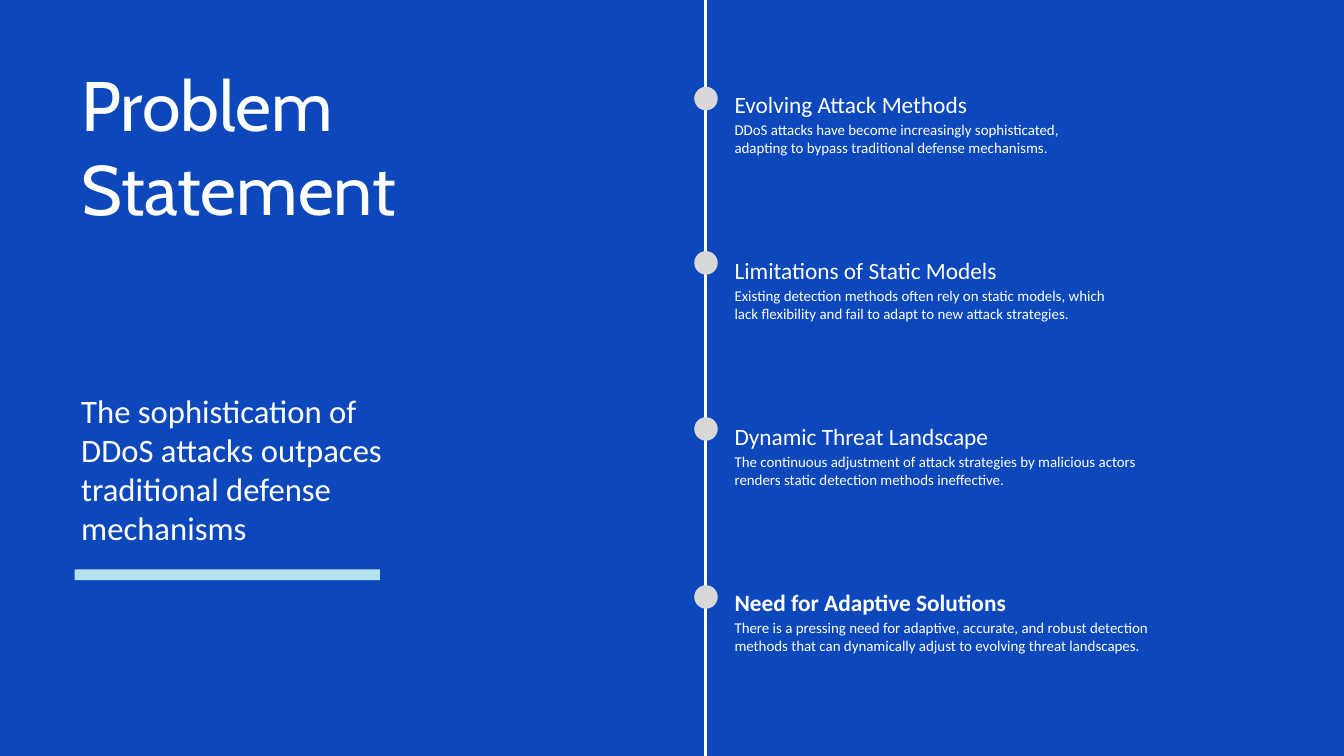
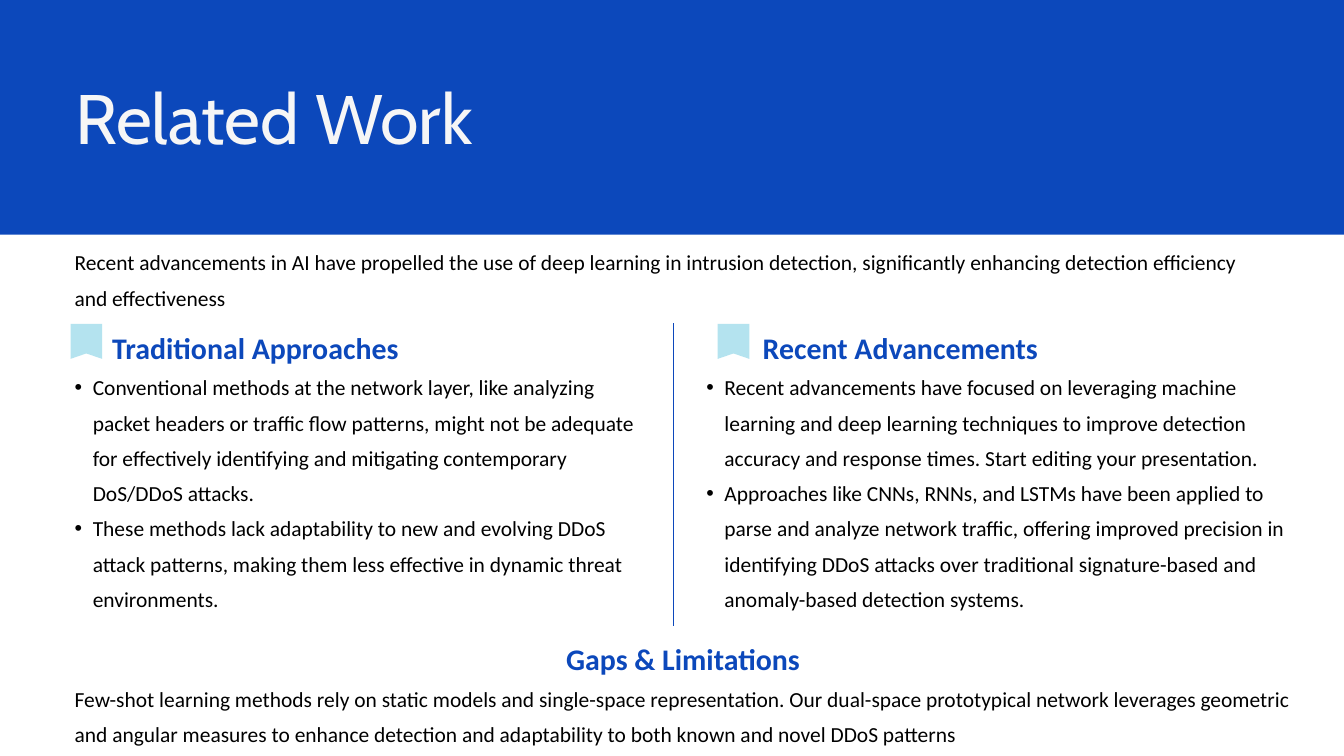
from dataclasses import dataclass

from lxml import etree
from pptx import Presentation
from pptx.dml.color import RGBColor
from pptx.enum.shapes import MSO_CONNECTOR, MSO_SHAPE
from pptx.enum.text import MSO_AUTO_SIZE, PP_ALIGN
from pptx.oxml.ns import qn
from pptx.util import Pt

RECTANGLE, OVAL = MSO_SHAPE.RECTANGLE, MSO_SHAPE.OVAL
STRAIGHT = MSO_CONNECTOR.STRAIGHT
FIT_SHAPE = MSO_AUTO_SIZE.SHAPE_TO_FIT_TEXT
LEFT, CENTER = PP_ALIGN.LEFT, PP_ALIGN.CENTER

# Shared look
WIDTH, HEIGHT = 1440, 810
COLORS = {
    "blue": "0C48BB",
    "aqua": "B4E3EF",
    "white": "FFFFFF",
    "title": "F6F6F6",
    "dot": "D8D8D8",
    "black": "000000",
}


@dataclass(frozen=True)
class Style:
    size: float
    color: str
    font: str = "Calibri"
    bold: bool = False
    spacing: float = 1.0
    align: PP_ALIGN = LEFT
    margin: float = 0
    bullet: bool = False


@dataclass(frozen=True)
class Milestone:
    heading: str
    body: str
    dot_top: float
    body_width: float
    bold: bool = False


@dataclass(frozen=True)
class Column:
    heading: str
    points: tuple[str, ...]
    mark_left: float
    heading_left: float
    body_left: float


BODY_SPACING = 1.37
HANGING = 19.44
STATEMENT = Style(35, "white")
DETAIL = Style(16, "white")
SECTION = Style(32, "blue", bold=True, spacing=1.3)
GAPS_HEADING = Style(32, "blue", bold=True, spacing=BODY_SPACING,
                     align=CENTER, margin=HANGING)
BODY = Style(23, "black", spacing=BODY_SPACING, margin=HANGING)
BULLETS = Style(23, "black", spacing=BODY_SPACING, margin=2 * HANGING, bullet=True)

MILESTONES = (
    Milestone("Evolving Attack Methods",
              "DDoS attacks have become increasingly sophisticated, adapting to "
              "bypass traditional defense mechanisms.", 93, 386),
    Milestone("Limitations of Static Models",
              "Existing detection methods often rely on static models, which lack "
              "flexibility and fail to adapt to new attack strategies.", 269, 406),
    Milestone("Dynamic Threat Landscape",
              "The continuous adjustment of attack strategies by malicious actors "
              "renders static detection methods ineffective.", 447, 431),
    Milestone("Need for Adaptive Solutions",
              "There is a pressing need for adaptive, accurate, and robust detection "
              "methods that can dynamically adjust to evolving threat landscapes.",
              627, 454, bold=True),
)

COLUMNS = (
    Column("Traditional Approaches", (
        "Conventional methods at the network layer, like analyzing packet headers or "
        "traffic flow patterns, might not be adequate for effectively identifying and "
        "mitigating contemporary DoS/DDoS attacks.",
        "These methods lack adaptability to new and evolving DDoS attack patterns, "
        "making them less effective in dynamic threat environments.",
    ), 75.6, 120.2, 60.5),
    Column("Recent Advancements", (
        "Recent advancements have focused on leveraging machine learning and deep "
        "learning techniques to improve detection accuracy and response times. Start "
        "editing your presentation.",
        "Approaches like CNNs, RNNs, and LSTMs have been applied to parse and analyze "
        "network traffic, offering improved precision in identifying DDoS attacks over "
        "traditional signature-based and anomaly-based detection systems.",
    ), 769, 817.2, 737.3),
)


def rgb(name: str) -> RGBColor:
    return RGBColor.from_string(COLORS[name])


def add_page(deck, background: str):
    page = deck.slides.add_slide(deck.slide_layouts[6])
    page.background.fill.solid()
    page.background.fill.fore_color.rgb = rgb(background)
    return page


def paint(shape, color: str) -> None:
    shape.shadow.inherit = False
    shape.fill.solid()
    shape.fill.fore_color.rgb = rgb(color)
    shape.line.fill.background()


def add_block(page, kind, left: float, top: float, width: float, height: float,
              color: str) -> None:
    shape = page.shapes.add_shape(kind, Pt(left), Pt(top), Pt(width), Pt(height))
    paint(shape, color)


def add_upright(page, x: float, top: float, bottom: float, color: str,
                weight: float) -> None:
    line = page.shapes.add_connector(STRAIGHT, Pt(x), Pt(top), Pt(x), Pt(bottom))
    line.line.color.rgb = rgb(color)
    line.line.width = Pt(weight)
    etree.SubElement(line.element.spPr, qn("a:effectLst"))


def add_bookmark(page, left: float, top: float) -> None:
    width, height, notch = 33.8, 37.5, 31.7
    corners = ((width, height), (width / 2, notch), (0, height), (0, 0))
    outline = page.shapes.build_freeform(Pt(left + width), Pt(top))
    outline.add_line_segments([(Pt(left + x), Pt(top + y)) for x, y in corners])
    paint(outline.convert_to_shape(), "aqua")


def add_bullet(properties) -> None:
    color = etree.SubElement(properties, qn("a:buClr"))
    etree.SubElement(color, qn("a:srgbClr"), val=COLORS["black"])
    etree.SubElement(properties, qn("a:buFont"), typeface="Arial")
    etree.SubElement(properties, qn("a:buChar"), char="•")


def add_text(page, left: float, top: float, width: float, height: float,
             *lines: tuple[str, Style]) -> None:
    box = page.shapes.add_textbox(Pt(left), Pt(top), Pt(width), Pt(height))
    frame = box.text_frame
    frame.word_wrap = True
    frame.auto_size = FIT_SHAPE
    frame.margin_left = frame.margin_top = frame.margin_right = frame.margin_bottom = 0
    for index, (text, style) in enumerate(lines):
        para = frame.add_paragraph() if index else frame.paragraphs[0]
        para.text = text
        para.alignment = style.align
        para.line_spacing = style.spacing
        properties = para._p.get_or_add_pPr()
        if style.margin:
            para.level = 1
            properties.set("marL", str(Pt(style.margin)))
            properties.set("indent", str(Pt(-HANGING) if style.bullet else 0))
        if style.bullet:
            add_bullet(properties)
        para.font.name = style.font
        para.font.size = Pt(style.size)
        para.font.bold = style.bold
        para.font.color.rgb = rgb(style.color)


def add_title(page, left: float, top: float, width: float, height: float,
              color: str, *lines: str) -> None:
    style = Style(75, color, font="Cabin")
    add_text(page, left, top, width, height, *((line, style) for line in lines))


def build_problem(deck) -> None:
    page = add_page(deck, "blue")
    add_upright(page, 756, 0, HEIGHT, "white", 2.5)
    add_title(page, 87, 65.5, 639, 181, "white", "Problem", "Statement")
    add_text(page, 87, 418.3, 331, 170,
             ("The sophistication of DDoS attacks outpaces traditional defense "
              "mechanisms", STATEMENT))
    add_block(page, RECTANGLE, 80, 610, 327, 11.5, "aqua")

    # Timeline entries at an equal pitch
    first_top, pitch, detail_offset, dot = 88, 177.84, 41.2, 25.2
    for index, item in enumerate(MILESTONES):
        top = first_top + index * pitch
        heading = Style(25, "white", bold=item.bold, spacing=1.3)
        add_text(page, 787, top, 343, 39.6, (item.heading, heading))
        add_text(page, 787, top + detail_offset, item.body_width, 39,
                 (item.body, DETAIL))
        add_block(page, OVAL, 743.8, item.dot_top, dot, dot, "dot")


def build_related_work(deck) -> None:
    page = add_page(deck, "white")
    band_height = 251.5
    add_block(page, RECTANGLE, 0, 0, WIDTH, HEIGHT, "blue")
    add_block(page, RECTANGLE, 0, band_height, WIDTH, HEIGHT - band_height, "white")
    add_title(page, 80.6, 80, 872, 90.7, "title", "Related Work")
    add_text(page, 60.5, 257, 1278.7, 77.8,
             ("Recent advancements in AI have propelled the use of deep learning in "
              "intrusion detection, significantly enhancing detection efficiency and "
              "effectiveness", BODY))

    # Two columns and their divider
    add_upright(page, 721.4, 346.3, 670.3, "blue", 1.5)
    for column in COLUMNS:
        add_bookmark(page, column.mark_left, 347)
        add_text(page, column.heading_left, 341.3, 352, 50.4,
                 (column.heading, SECTION))
        add_text(page, column.body_left, 391, 642.2, 273,
                 *((point, BULLETS) for point in column.points))

    # Closing remark
    add_text(page, 60.5, 672.5, 1323.4, 132.5,
             ("Gaps & Limitations", GAPS_HEADING),
             ("Few-shot learning methods rely on static models and single-space "
              "representation. Our dual-space prototypical network leverages geometric "
              "and angular measures to enhance detection and adaptability to both known "
              "and novel DDoS patterns", BODY))


def main() -> None:
    deck = Presentation()
    deck.slide_width, deck.slide_height = Pt(WIDTH), Pt(HEIGHT)
    build_problem(deck)
    build_related_work(deck)
    deck.save("out.pptx")


if __name__ == "__main__":
    main()
